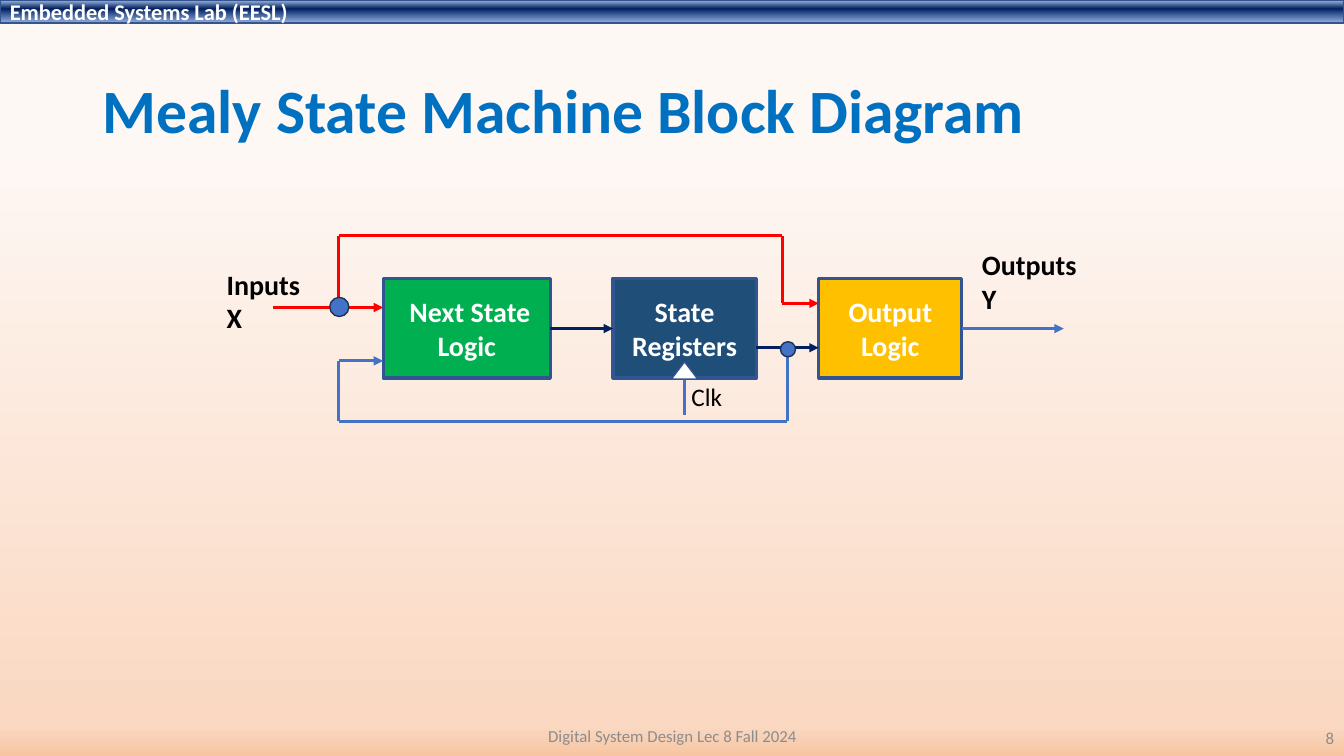
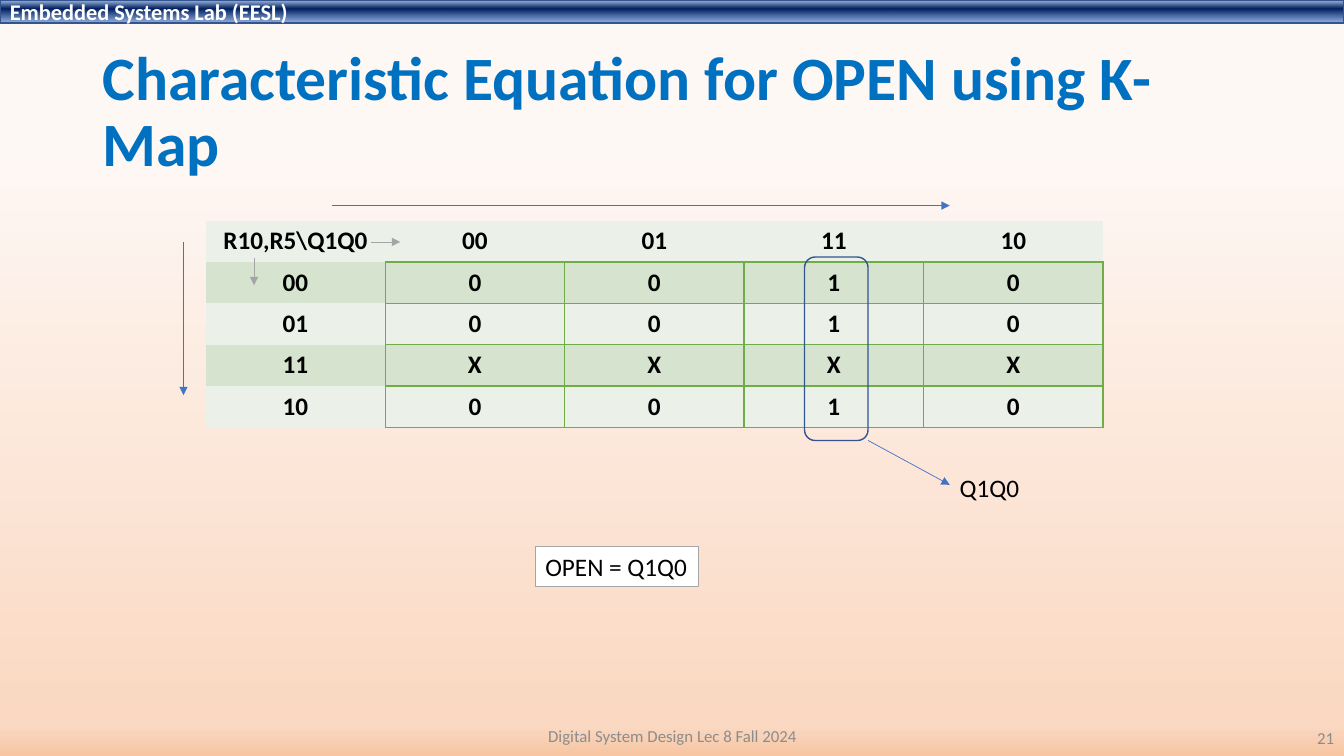
from itertools import pairwise

from lxml.etree import SubElement
from pptx import Presentation
from pptx.dml.color import RGBColor
from pptx.enum.shapes import MSO_CONNECTOR, MSO_SHAPE as SHAPE
from pptx.enum.text import MSO_ANCHOR as ANCHOR, PP_ALIGN as ALIGN
from pptx.oxml.ns import qn
from pptx.util import Pt

PX = 9144  # EMU; 100 px to the inch
W, H = 1333, 750
FONT = "Calibri"

BLACK = RGBColor(0x00, 0x00, 0x00)
WHITE = RGBColor(0xFF, 0xFF, 0xFF)
TITLE_BLUE = RGBColor(0x00, 0x70, 0xC0)
BLUE = RGBColor(0x44, 0x72, 0xC4)
EDGE = RGBColor(0x32, 0x54, 0x91)
DOT_EDGE = RGBColor(0x1E, 0x32, 0x56)
NAVY = RGBColor(0x00, 0x20, 0x60)
TEAL = RGBColor(0x1F, 0x4E, 0x79)
RED = RGBColor(0xFF, 0x00, 0x00)
GREEN = RGBColor(0x00, 0xB0, 0x50)
AMBER = RGBColor(0xFF, 0xC0, 0x00)
GRAY = RGBColor(0xA5, 0xA5, 0xA5)
FOOT_GRAY = RGBColor(0x8C, 0x8C, 0x8C)
GRID = RGBColor(0x70, 0xAD, 0x47)
ROW_FILLS = RGBColor(0xEB, 0xF1, 0xE9), RGBColor(0xD5, 0xE3, 0xCF)

# Gradient stops: position %, colour, opacity %
PAGE_STOPS = [(19, RGBColor(0xFE, 0xF8, 0xF5), 97), (96, RGBColor(0xFA, 0xD8, 0xC1), 100),
              (100, RGBColor(0xF7, 0xC5, 0xA2), 100)]
BAND_STOPS = [(2, RGBColor(0xAB, 0xC0, 0xE4), 100), (38, NAVY, 100),
              (93, RGBColor(0x7E, 0x9E, 0xD6), 87)]

BAND_TEXT = "Embedded Systems Lab (EESL)"
FOOTER = "Digital System Design Lec 8 Fall 2024"

# Block diagram
BLOCK_TOP, BLOCK_H = 276, 99
BLOCKS = [(" Next State Logic", 380, 166, GREEN), ("State Registers", 608, 142, TEAL),
          ("Output Logic", 812, 142, AMBER)]
# Wires: colour, corner points, arrow at the end
WIRES = [
    (RED, [(271, 305), (380, 305)], True),
    (RED, [(336, 305), (336, 234), (776, 234), (776, 301), (812, 301)], True),
    (NAVY, [(750, 345), (812, 345)], True),
    (BLUE, [(781, 345), (781, 418), (336, 418), (336, 358), (380, 358)], True),
    (NAVY, [(546, 326), (608, 326)], True),
    (BLUE, [(954, 326), (1055, 326)], True),
    (BLUE, [(679, 376), (679, 412)], False),
]
PORTS = [("Inputs\nX", (215, 260, 94, 77)), ("Outputs\nY", (964, 241, 115, 77))]
CLOCK_MARK = (666, 359, 26, 17)
CLOCK_LABEL = ("Clk", (676, 373, 51, 40))
DOTS = [(781, 346, 15), (336, 304, 19)]  # centre x, centre y, diameter

# Karnaugh map
KMAP_LEFT, KMAP_TOP, COL_W, ROW_H = 204, 219, 178, 41
KMAP = [
    ["R10,R5\\Q1Q0", "00", "01", "11", "10"],
    ["00", "0", "0", "1", "0"],
    ["01", "0", "0", "1", "0"],
    ["11", "X", "X", "X", "X"],
    ["10", "0", "0", "1", "0"],
]
LOOP = (798, 255, 63, 182)
KMAP_ARROWS = [
    (BLUE, [(182, 240), (182, 392)]),
    (BLUE, [(329, 204), (942, 204)]),
    (BLUE, [(861, 437), (942, 481)]),
    (GRAY, [(368, 240), (397, 240)]),
    (GRAY, [(252, 256), (252, 283)]),
]
TERM = ("Q1Q0", (942, 464, 80, 40))
EQUATION = ("OPEN = Q1Q0", (531, 542, 162, 40))


def emu(*lengths):
    return [n * PX for n in lengths]


def set_gradient(owner, fill, stops):
    """Top-to-bottom gradient with any number of stops."""
    fill.gradient()
    fill.gradient_angle = 270
    gs_list = next(owner.element.iter(qn("a:gsLst")))
    gs_list.clear()
    for pos, color, opacity in stops:
        gs = SubElement(gs_list, qn("a:gs"), pos=str(pos * 1000))
        clr = SubElement(gs, qn("a:srgbClr"), val=str(color))
        if opacity < 100:
            SubElement(clr, qn("a:alpha"), val=str(opacity * 1000))


def write(tf, text, size, color, bold=False, align=ALIGN.LEFT, anchor=ANCHOR.TOP, wrap=True):
    tf.text = text
    tf.word_wrap = wrap
    tf.vertical_anchor = anchor
    for p in tf.paragraphs:
        p.alignment = align
        for r in p.runs:
            r.font.name, r.font.size, r.font.bold = FONT, Pt(size), bold
            r.font.color.rgb = color


def add_text(s, text, box, size, color, **style):
    tf = s.shapes.add_textbox(*emu(*box)).text_frame
    write(tf, text, size, color, **style)
    return tf


def add_box(s, kind, box, fill=None, line=EDGE, width=1):
    sp = s.shapes.add_shape(kind, *emu(*box))
    sp.shadow.inherit = False
    if fill is None:
        sp.fill.background()
    else:
        sp.fill.solid()
        sp.fill.fore_color.rgb = fill
    sp.line.color.rgb = line
    sp.line.width = Pt(width)
    return sp


def add_wire(s, color, points, width, arrow=True):
    """Straight connectors through the points, with an arrowhead on the last."""
    for start, end in pairwise(points):
        c = s.shapes.add_connector(MSO_CONNECTOR.STRAIGHT, *emu(*start, *end))
        c.line.color.rgb = color
        c.line.width = Pt(width)
        SubElement(c.element.spPr, qn("a:effectLst"))
        if arrow and end == points[-1]:
            ln = c.element.spPr.find(qn("a:ln"))
            SubElement(ln, qn("a:tailEnd"), type="triangle")


def add_page(prs, title, number):
    s = prs.slides.add_slide(prs.slide_layouts[6])
    set_gradient(s, s.background.fill, PAGE_STOPS)
    band = add_box(s, SHAPE.RECTANGLE, (0, 0, W, 23))
    set_gradient(band, band.fill, BAND_STOPS)
    write(band.text_frame, BAND_TEXT, 16, WHITE, bold=True, anchor=ANCHOR.MIDDLE)
    tf = add_text(s, title, (92, 40, 1150, 145), 44, TITLE_BLUE, bold=True, anchor=ANCHOR.MIDDLE)
    tf.paragraphs[0].line_spacing = 0.9
    add_text(s, FOOTER, (442, 710, 450, 40), 12, FOOT_GRAY,
             align=ALIGN.CENTER, anchor=ANCHOR.MIDDLE)
    add_text(s, str(number), (1033, 712, 300, 40), 12, FOOT_GRAY,
             align=ALIGN.RIGHT, anchor=ANCHOR.MIDDLE)
    return s


def add_borders(cell):
    tc_pr = cell._tc.get_or_add_tcPr()
    for side in ("lnL", "lnR", "lnT", "lnB"):
        ln = SubElement(tc_pr, qn(f"a:{side}"), w=str(Pt(1)))
        SubElement(SubElement(ln, qn("a:solidFill")), qn("a:srgbClr"), val=str(GRID))


def add_kmap(s):
    rows, cols = len(KMAP), len(KMAP[0])
    frame = s.shapes.add_table(
        rows, cols, *emu(KMAP_LEFT, KMAP_TOP, cols * COL_W, rows * ROW_H))
    # The "No Style, No Grid" table style
    next(frame.element.iter(qn("a:tableStyleId"))).text = "{2D5ABB26-0587-4C30-8999-92F81FD0307C}"
    for i, row in enumerate(KMAP):
        for j, text in enumerate(row):
            cell = frame.table.cell(i, j)
            if i and j:
                add_borders(cell)
            cell.fill.solid()
            cell.fill.fore_color.rgb = ROW_FILLS[i % 2]
            write(cell.text_frame, text, 18, BLACK, bold=True, align=ALIGN.CENTER)


def build_block_diagram(prs):
    s = add_page(prs, "Mealy State Machine Block Diagram", 8)
    for text, left, width, fill in BLOCKS:
        sp = add_box(s, SHAPE.RECTANGLE, (left, BLOCK_TOP, width, BLOCK_H), fill, width=2.25)
        write(sp.text_frame, text, 20, WHITE, bold=True, align=ALIGN.CENTER, anchor=ANCHOR.MIDDLE)
    for color, points, arrow in WIRES:
        add_wire(s, color, points, 2.25, arrow)
    for text, box in PORTS:
        add_text(s, text, box, 20, BLACK, bold=True, wrap=False)
    add_box(s, SHAPE.ISOSCELES_TRIANGLE, CLOCK_MARK, WHITE)
    add_text(s, *CLOCK_LABEL, 18, BLACK, wrap=False)
    for x, y, d in DOTS:
        add_box(s, SHAPE.OVAL, (x - d // 2, y - d // 2, d, d), BLUE, DOT_EDGE)


def build_kmap(prs):
    s = add_page(prs, "Characteristic Equation for OPEN using K-Map", 21)
    add_kmap(s)
    add_box(s, SHAPE.ROUNDED_RECTANGLE, LOOP)
    for color, points in KMAP_ARROWS:
        add_wire(s, color, points, 0.5)
    add_text(s, *TERM, 18, BLACK, wrap=False)
    text, box = EQUATION
    sp = add_box(s, SHAPE.RECTANGLE, box, WHITE, GRAY)
    write(sp.text_frame, text, 18, BLACK, wrap=False)


def main():
    prs = Presentation()
    prs.slide_width, prs.slide_height = emu(W, H)
    build_block_diagram(prs)
    build_kmap(prs)
    prs.save("out.pptx")


if __name__ == "__main__":
    main()
